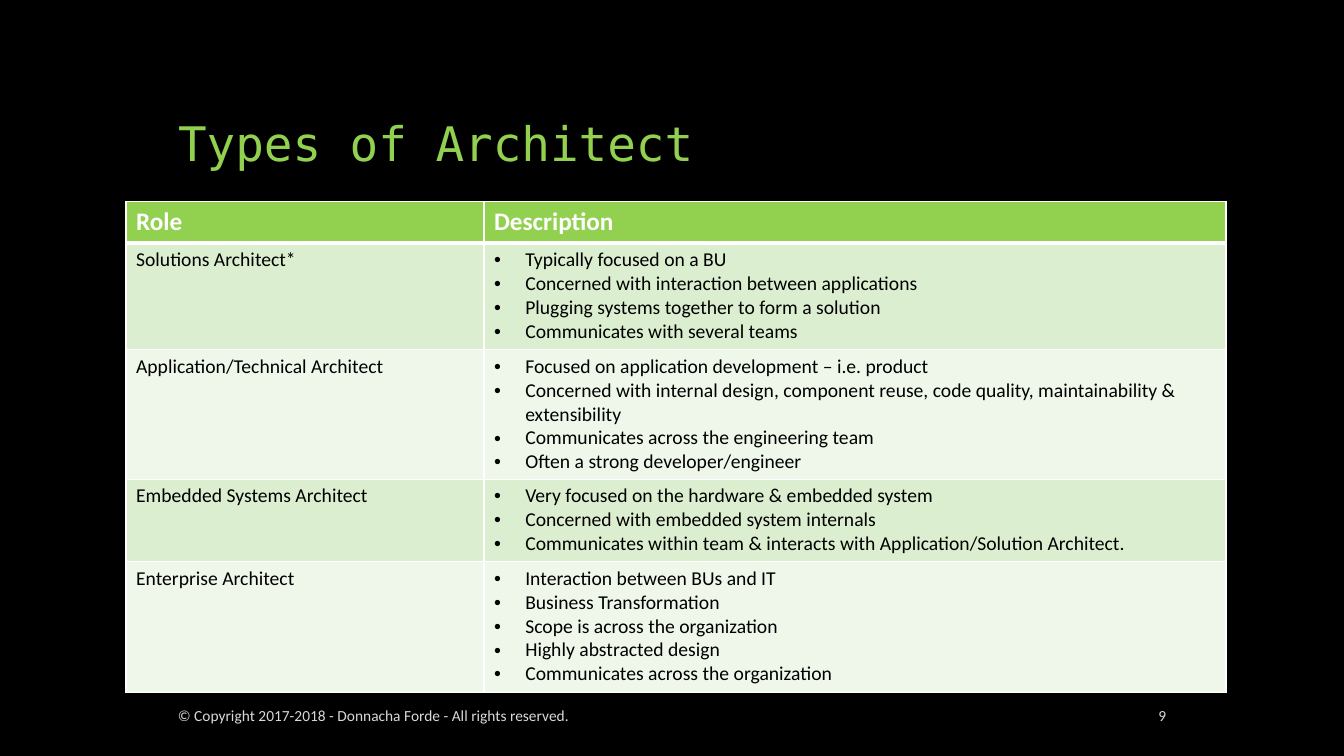
import pptx
import pptx.dml.color
import pptx.enum.text
import pptx.oxml
import pptx.oxml.ns
import pptx.util
from dataclasses import dataclass

TITLE = "Types of Architect"
HEADERS = ("Role", "Description")
ROLES = {
    "Solutions Architect*": (
        "Typically focused on a BU",
        "Concerned with interaction between applications",
        "Plugging systems together to form a solution",
        "Communicates with several teams",
    ),
    "Application/Technical Architect": (
        "Focused on application development – i.e. product",
        "Concerned with internal design, component reuse, code quality, "
        "maintainability & extensibility",
        "Communicates across the engineering team",
        "Often a strong developer/engineer",
    ),
    "Embedded Systems Architect": (
        "Very focused on the hardware & embedded system",
        "Concerned with embedded system internals",
        "Communicates within team & interacts with Application/Solution Architect.",
    ),
    "Enterprise Architect": (
        "Interaction between BUs and IT",
        "Business Transformation",
        "Scope is across the organization",
        "Highly abstracted design",
        "Communicates across the organization",
    ),
}
COPYRIGHT = "© Copyright 2017-2018 - Donnacha Forde - All rights reserved."
PAGE_NUMBER = "9"


@dataclass(frozen=True)
class Theme:
    background: str = "000000"
    accent: str = "92D050"
    light: str = "FFFFFF"
    dark: str = "000000"
    footer: str = "D9D9D9"
    bands: tuple = ("DCEED0", "EEF7E9")
    title_font: str = "DejaVu Sans Mono"
    body_font: str = "Calibri"
    title_size: int = 34
    header_size: int = 18
    body_size: int = 14
    footer_size: int = 11
    thin: int = 1
    thick: int = 3


THEME = Theme()
WIDTH, HEIGHT = 13.33, 7.5
MARGIN = WIDTH / 8
CONTENT_WIDTH = WIDTH - 2 * MARGIN
TABLE_LEFT, TABLE_TOP = 1.25, 2
COLUMN_WIDTHS = (3.55, 7.36)
HEADER_HEIGHT, LINE_HEIGHT, CELL_PADDING = 0.41, 0.24, 0.1
FOOTER_TOP, FOOTER_HEIGHT, NUMBER_WIDTH = 6.96, 0.28, 0.92
INDENT = 0.31

inches = pptx.util.Inches
color = pptx.dml.color.RGBColor.from_string
ALIGN = pptx.enum.text.PP_ALIGN
ANCHOR = pptx.enum.text.MSO_ANCHOR


def add_run(paragraph, text, size, ink, font=THEME.body_font, bold=False):
    run = paragraph.add_run()
    run.text = text
    run.font.name = font
    run.font.size = pptx.util.Pt(size)
    run.font.bold = bold
    run.font.color.rgb = color(ink)


def add_bullet(paragraph):
    properties = paragraph._p.get_or_add_pPr()
    properties.set("marL", str(inches(INDENT)))
    properties.set("indent", str(-inches(INDENT)))
    namespace = pptx.oxml.ns.nsdecls("a")
    properties.append(pptx.oxml.parse_xml(f'<a:buFont {namespace} typeface="Arial"/>'))
    properties.append(pptx.oxml.parse_xml(f'<a:buChar {namespace} char="•"/>'))


def style_cell(cell, fill, top, bottom):
    properties = cell._tc.get_or_add_tcPr()
    widths = {"L": THEME.thin, "R": THEME.thin, "T": top, "B": bottom}
    for side, width in widths.items():
        properties.append(pptx.oxml.parse_xml(
            f'<a:ln{side} {pptx.oxml.ns.nsdecls("a")} w="{pptx.util.Pt(width)}">'
            f'<a:solidFill><a:srgbClr val="{THEME.light}"/></a:solidFill></a:ln{side}>'))
    cell.fill.solid()
    cell.fill.fore_color.rgb = color(fill)


def fill_cell(cell, lines, size, ink, bold=False, bulleted=False):
    for index, line in enumerate(lines):
        frame = cell.text_frame
        paragraph = frame.add_paragraph() if index else frame.paragraphs[0]
        if bulleted:
            add_bullet(paragraph)
        add_run(paragraph, line, size, ink, bold=bold)


def add_title(slide):
    title = slide.shapes.title
    title.left, title.top = inches(MARGIN), inches(0.5)
    title.width, title.height = inches(CONTENT_WIDTH), inches(1.25)
    frame = title.text_frame
    frame.vertical_anchor = ANCHOR.BOTTOM
    frame.word_wrap = True
    paragraph = frame.paragraphs[0]
    paragraph.alignment = ALIGN.LEFT
    paragraph.line_spacing = 0.9
    add_run(paragraph, TITLE, THEME.title_size, THEME.accent, THEME.title_font)


def add_roles(slide):
    heights = [HEADER_HEIGHT] + [
        CELL_PADDING + LINE_HEIGHT * len(duties) for duties in ROLES.values()]
    table = slide.shapes.add_table(
        len(heights), len(HEADERS), inches(TABLE_LEFT), inches(TABLE_TOP),
        inches(sum(COLUMN_WIDTHS)), inches(sum(heights))).table
    for column, width in zip(table.columns, COLUMN_WIDTHS):
        column.width = inches(width)
    for row, height in zip(table.rows, heights):
        row.height = inches(height)
    for column, header in enumerate(HEADERS):
        cell = table.cell(0, column)
        style_cell(cell, THEME.accent, THEME.thin, THEME.thick)
        fill_cell(cell, [header], THEME.header_size, THEME.light, bold=True)
    for row, (role, duties) in enumerate(ROLES.items(), 1):
        for column, lines in enumerate(([role], duties)):
            cell = table.cell(row, column)
            top = THEME.thick if row == 1 else THEME.thin
            style_cell(cell, THEME.bands[(row - 1) % 2], top, THEME.thin)
            fill_cell(cell, lines, THEME.body_size, THEME.dark, bulleted=column == 1)


def add_footer(slide, text, left, width, alignment):
    box = slide.shapes.add_textbox(
        inches(left), inches(FOOTER_TOP), inches(width), inches(FOOTER_HEIGHT))
    frame = box.text_frame
    frame.word_wrap = True
    frame.vertical_anchor = ANCHOR.MIDDLE
    paragraph = frame.paragraphs[0]
    paragraph.alignment = alignment
    add_run(paragraph, text, THEME.footer_size, THEME.footer)


def main():
    presentation = pptx.Presentation()
    presentation.slide_width = inches(WIDTH)
    presentation.slide_height = inches(HEIGHT)
    slide = presentation.slides.add_slide(presentation.slide_layouts[5])
    slide.background.fill.solid()
    slide.background.fill.fore_color.rgb = color(THEME.background)
    add_title(slide)
    add_roles(slide)
    add_footer(slide, COPYRIGHT, MARGIN, 7.53, ALIGN.LEFT)
    add_footer(slide, PAGE_NUMBER, WIDTH - MARGIN - NUMBER_WIDTH, NUMBER_WIDTH, ALIGN.RIGHT)
    presentation.save("out.pptx")


if __name__ == "__main__":
    main()
